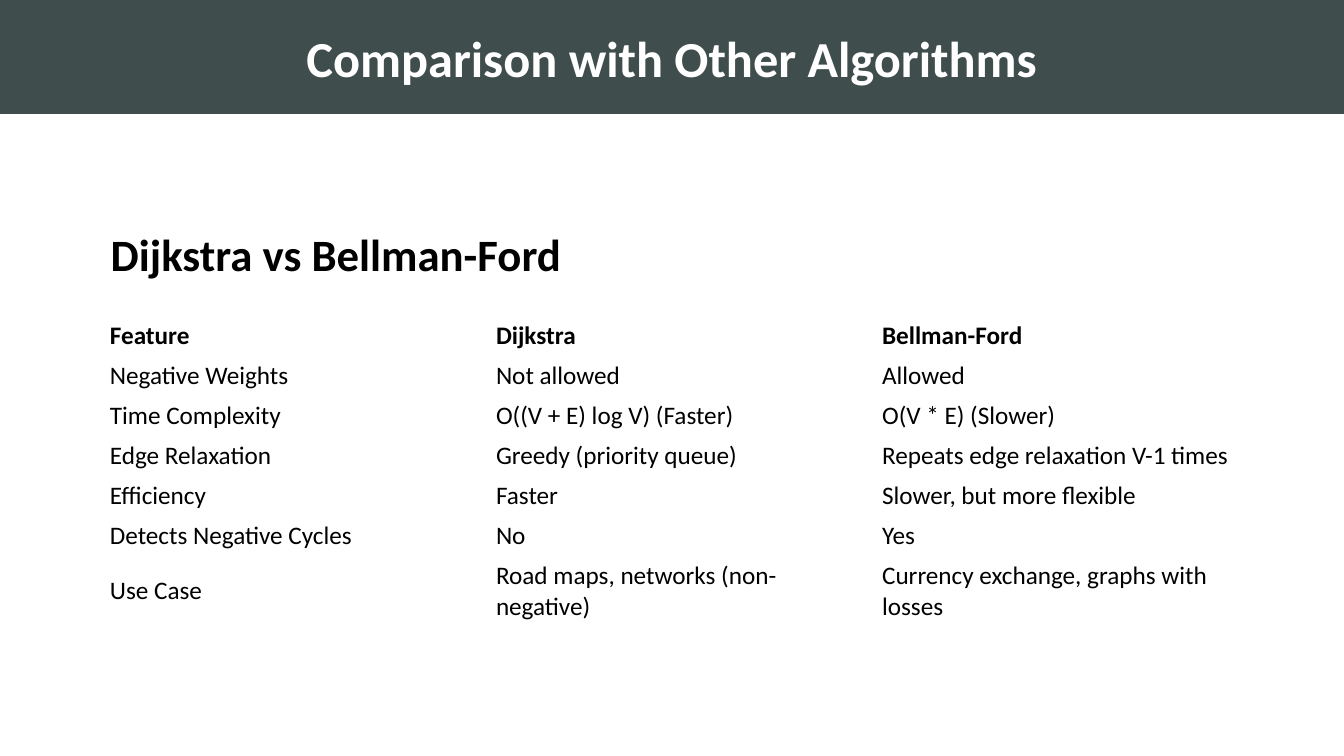
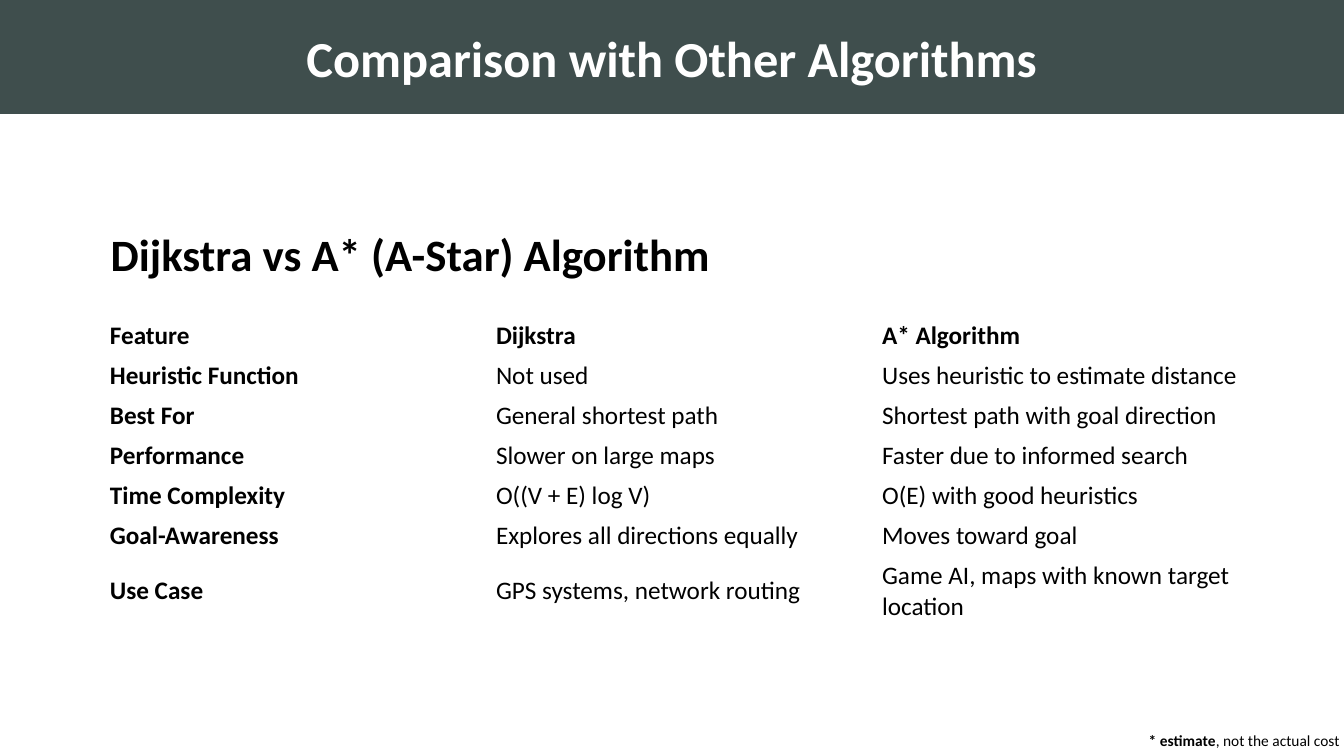
from dataclasses import dataclass

from pptx import Presentation
from pptx.dml.color import RGBColor
from pptx.enum.shapes import MSO_SHAPE
from pptx.enum.text import MSO_ANCHOR, PP_ALIGN
from pptx.slide import Slide
from pptx.text.text import TextFrame
from pptx.util import Cm, Pt


@dataclass(frozen=True)
class Theme:
    font: str = "Calibri"
    band: RGBColor = RGBColor(0x3F, 0x4E, 0x4D)
    light: RGBColor = RGBColor(0xFF, 0xFF, 0xFF)
    dark: RGBColor = RGBColor(0x00, 0x00, 0x00)
    title: int = 36
    heading: int = 32
    body: int = 18
    note: int = 11


@dataclass(frozen=True)
class Span:
    text: str
    bold: bool = True


@dataclass(frozen=True)
class Comparison:
    heading: str
    rows: list[tuple[str, str, str]]
    bold_features: bool = False
    note: tuple[Span, ...] = ()


THEME = Theme()
TITLE = "Comparison with Other Algorithms"
WIDTH, HEIGHT = Cm(33.87), Cm(19.05)
COL_WIDTH, ROW_HEIGHT = Cm(9.73), Cm(1.01)
CELL_FORMAT = {
    "margin_left": Cm(0.18),
    "margin_right": Cm(0.18),
    "margin_top": Cm(0.12),
    "margin_bottom": Cm(0.12),
    "vertical_anchor": MSO_ANCHOR.MIDDLE,
}

COMPARISONS = [
    Comparison(
        "Dijkstra vs Bellman-Ford",
        [
            ("Feature", "Dijkstra", "Bellman-Ford"),
            ("Negative Weights", "Not allowed", "Allowed"),
            ("Time Complexity", "O((V + E) log V) (Faster)", "O(V * E) (Slower)"),
            ("Edge Relaxation", "Greedy (priority queue)", "Repeats edge relaxation V-1 times"),
            ("Efficiency", "Faster", "Slower, but more flexible"),
            ("Detects Negative Cycles", "No", "Yes"),
            ("Use Case", "Road maps, networks (non-negative)", "Currency exchange, graphs with losses"),
        ],
    ),
    Comparison(
        "Dijkstra vs A* (A-Star) Algorithm",
        [
            ("Feature", "Dijkstra", "A* Algorithm"),
            ("Heuristic Function", "Not used", "Uses heuristic to estimate distance"),
            ("Best For", "General shortest path", "Shortest path with goal direction"),
            ("Performance", "Slower on large maps", "Faster due to informed search"),
            ("Time Complexity", "O((V + E) log V)", "O(E) with good heuristics"),
            ("Goal-Awareness", "Explores all directions equally", "Moves toward goal"),
            ("Use Case", "GPS systems, network routing", "Game AI, maps with known target location"),
        ],
        bold_features=True,
        note=(Span("* estimate"), Span(", not the actual cost", False)),
    ),
]


def write(tf: TextFrame, spans: tuple[Span, ...], size: int, color: RGBColor = THEME.dark) -> None:
    p = tf.paragraphs[0]
    for span in spans:
        r = p.add_run()
        r.text = span.text
        fmt = {"name": THEME.font, "size": Pt(size), "bold": span.bold}
        for key, value in fmt.items():
            setattr(r.font, key, value)
        r.font.color.rgb = color


def add_band(s: Slide) -> None:
    sp = s.shapes.add_shape(MSO_SHAPE.RECTANGLE, 0, 0, WIDTH, Cm(2.87))
    sp.shadow.inherit = False
    sp.fill.solid()
    sp.fill.fore_color.rgb = THEME.band
    sp.line.fill.background()
    tf = sp.text_frame
    tf.vertical_anchor = MSO_ANCHOR.MIDDLE
    tf.paragraphs[0].alignment = PP_ALIGN.CENTER
    write(tf, (Span(TITLE),), THEME.title, THEME.light)


def add_heading(s: Slide, text: str) -> None:
    tf = s.shapes.add_textbox(Cm(2.54), Cm(5.59), Cm(21.97), Cm(1.63)).text_frame
    tf.word_wrap = True
    write(tf, (Span(text),), THEME.heading)


def add_comparison_table(s: Slide, comparison: Comparison) -> None:
    rows = comparison.rows
    n_rows, n_cols = len(rows), len(rows[0])
    frame = s.shapes.add_table(
        n_rows, n_cols, Cm(2.59), Cm(7.95), COL_WIDTH * n_cols, ROW_HEIGHT * n_rows
    )
    table = frame.table
    table.first_row = table.horz_banding = False
    for column in table.columns:
        column.width = COL_WIDTH
    for row in table.rows:
        row.height = ROW_HEIGHT
    for i, texts in enumerate(rows):
        for j, text in enumerate(texts):
            cell = table.cell(i, j)
            cell.fill.background()
            for key, value in CELL_FORMAT.items():
                setattr(cell, key, value)
            bold = i == 0 or (j == 0 and comparison.bold_features)
            write(cell.text_frame, (Span(text, bold),), THEME.body)


def add_note(s: Slide, spans: tuple[Span, ...]) -> None:
    tf = s.shapes.add_textbox(Cm(28.7), Cm(18.31), Cm(5.15), Cm(0.73)).text_frame
    tf.margin_right = 0
    tf.word_wrap = False
    write(tf, spans, THEME.note)


def main() -> None:
    prs = Presentation()
    prs.slide_width, prs.slide_height = WIDTH, HEIGHT
    for comparison in COMPARISONS:
        s = prs.slides.add_slide(prs.slide_layouts[6])
        add_band(s)
        add_heading(s, comparison.heading)
        add_comparison_table(s, comparison)
        if comparison.note:
            add_note(s, comparison.note)
    prs.save("out.pptx")


if __name__ == "__main__":
    main()
